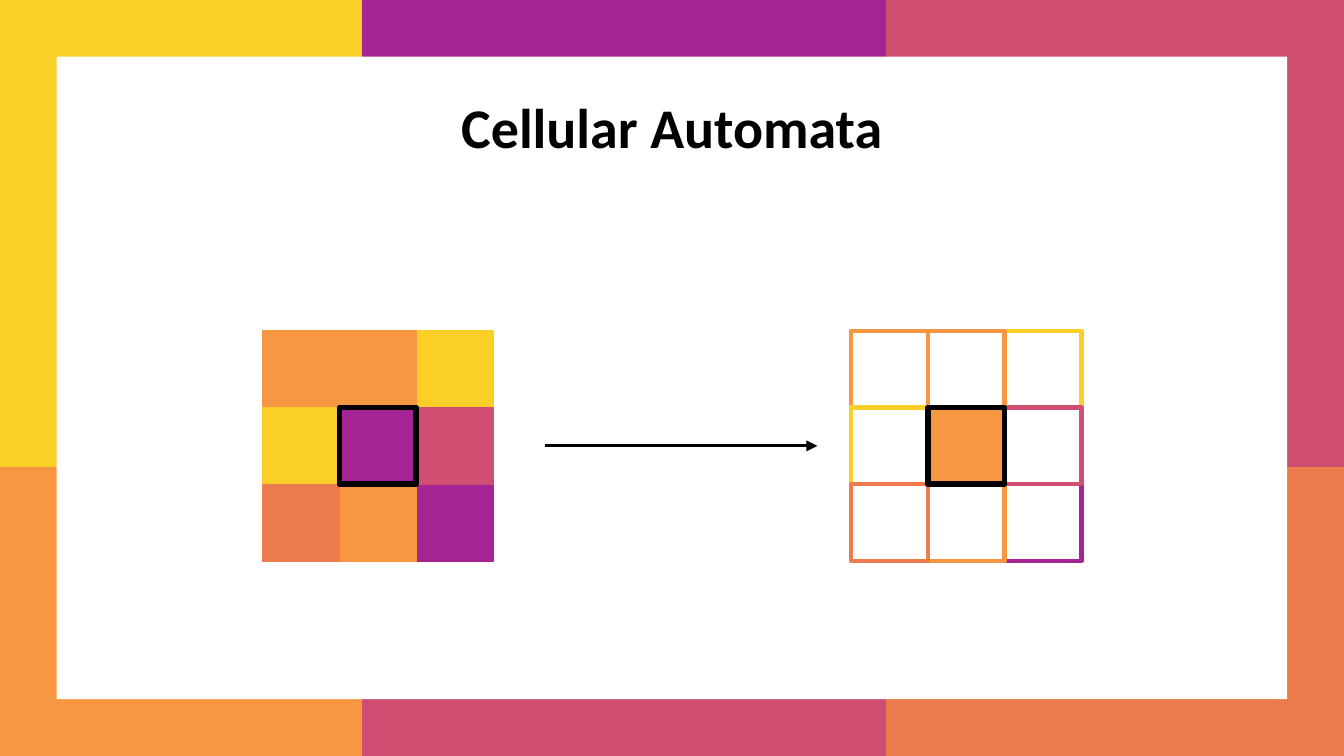
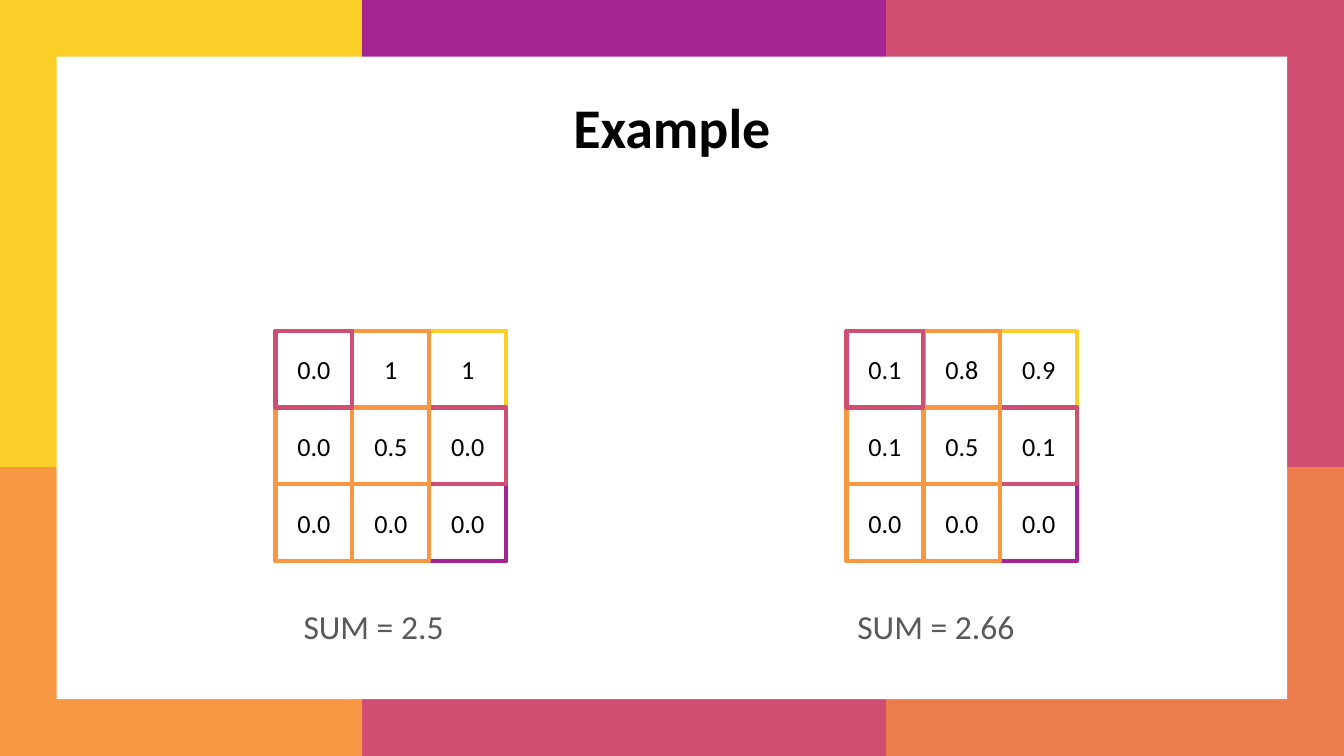
from dataclasses import dataclass

from lxml.etree import SubElement
from pptx import Presentation
from pptx.dml.color import RGBColor as RGB
from pptx.enum.shapes import MSO_CONNECTOR as CONN, MSO_SHAPE as SHAPE
from pptx.enum.text import MSO_ANCHOR as ANCHOR, PP_ALIGN as ALIGN
from pptx.oxml.ns import qn
from pptx.util import Pt


@dataclass(frozen=True)
class Theme:
    font: str = "Calibri"
    yellow: str = "FACF28"
    purple: str = "A42494"
    pink: str = "CF4E72"
    orange: str = "F79741"
    coral: str = "EC7C4C"
    white: str = "FFFFFF"
    black: str = "000000"
    grey: str = "595959"
    title_size: float = 30
    sum_size: float = 18
    cell_size: float = 14
    hairline: float = 0.75
    arrow_line: float = 1.5
    outline: float = 2.25
    focus_line: float = 3


T = Theme()
W, H = 720, 405
TILE = 280.65
CELL = 41.2
GRID = 3 * CELL
GRID_TOP = 177.1
CENTRE = 4
INSET = 7.2


def add_rect(s, box, fill, line=None, weight=T.hairline):
    sp = s.shapes.add_shape(SHAPE.RECTANGLE, *map(Pt, box))
    sp.shadow.inherit = False
    sp.fill.solid()
    sp.fill.fore_color.rgb = RGB.from_string(fill)
    if line:
        sp.line.color.rgb = RGB.from_string(line)
        sp.line.width = Pt(weight)
    else:
        sp.line.fill.background()
    return sp


def write(sp, text, size, color, align, anchor=ANCHOR.TOP, bold=False):
    tf = sp.text_frame
    tf.word_wrap = True
    tf.vertical_anchor = anchor
    tf.margin_left = tf.margin_right = tf.margin_top = tf.margin_bottom = Pt(INSET)
    p = tf.paragraphs[0]
    p.alignment = align
    r = p.add_run()
    r.text = text
    r.font.name = T.font
    r.font.size = Pt(size)
    r.font.bold = bold
    r.font.color.rgb = RGB.from_string(color)


def add_text(s, box, text, *style, **options):
    write(s.shapes.add_textbox(*map(Pt, box)), text, *style, **options)


def add_frame(s, title):
    tiles = (T.yellow, T.purple, T.pink, T.orange, T.pink, T.coral)
    left, top, margin = -86.1, -30.3, 30.4
    for i, color in enumerate(tiles):
        row, col = divmod(i, 3)
        add_rect(s, (left + col * TILE, top + row * TILE, TILE, TILE), color, color)
    add_rect(s, (margin, margin, W - 2 * margin, H - 2 * margin), T.white)
    add_text(s, (48.2, 42.5, W - 2 * 48.2, 64.8), title,
             T.title_size, T.black, ALIGN.CENTER, bold=True)


def add_cell(s, x, y, i, *style):
    row, col = divmod(i, 3)
    return add_rect(s, (x + col * CELL, y + row * CELL, CELL, CELL), *style)


def add_grid(s, x, y, colors, order, filled=False, values=None):
    for i in order:
        fill = colors[i] if filled else T.white
        weight = T.hairline if filled else T.outline
        sp = add_cell(s, x, y, i, fill, colors[i], weight)
        if values:
            write(sp, values[i], T.cell_size, T.black, ALIGN.CENTER, ANCHOR.MIDDLE)


def add_arrow(s, x1, x2, y):
    c = s.shapes.add_connector(CONN.STRAIGHT, Pt(x1), Pt(y), Pt(x2), Pt(y))
    c.line.color.rgb = RGB.from_string(T.black)
    c.line.width = Pt(T.arrow_line)
    SubElement(c.line._get_or_add_ln(), qn("a:tailEnd"), type="triangle")
    SubElement(c._element.spPr, qn("a:effectLst"))


def automata_slide(s):
    add_frame(s, "Cellular Automata")
    before_x, after_x = 140.6, 455.8
    colors = (T.orange, T.orange, T.yellow,
              T.yellow, T.purple, T.pink,
              T.coral, T.orange, T.purple)
    neighbours = (2, 0, 8, 5, 3, 7, 1, 6)
    add_grid(s, before_x, GRID_TOP, colors, neighbours, filled=True)
    add_arrow(s, 292.2, 437.9, GRID_TOP + GRID / 2)
    add_grid(s, after_x, GRID_TOP, colors, neighbours)
    for x, fill in ((before_x, T.purple), (after_x, T.orange)):
        add_cell(s, x, GRID_TOP, CENTRE, fill, T.black, T.focus_line)


def example_slide(s):
    add_frame(s, "Example")
    colors = (T.pink, T.orange, T.yellow,
              T.orange, T.orange, T.pink,
              T.orange, T.orange, T.purple)
    order = (2, 8, 5, 7, 1, 6, 4, 3, 0)
    examples = (
        (147.6, "0.0 1 1 0.0 0.5 0.0 0.0 0.0 0.0", "SUM = 2.5", 155.5, 107.3),
        (453.5, "0.1 0.8 0.9 0.1 0.5 0.1 0.0 0.0 0.0", "SUM = 2.66", 452.2, 126),
    )
    for x, values, total, sum_x, sum_w in examples:
        add_grid(s, x, GRID_TOP, colors, order, values=values.split())
        add_text(s, (sum_x, GRID_TOP + GRID + 16.8, sum_w, 29.5), total,
                 T.sum_size, T.grey, ALIGN.LEFT)


def main():
    prs = Presentation()
    prs.slide_width, prs.slide_height = Pt(W), Pt(H)
    for build in (automata_slide, example_slide):
        build(prs.slides.add_slide(prs.slide_layouts[6]))
    prs.save("out.pptx")


if __name__ == "__main__":
    main()
